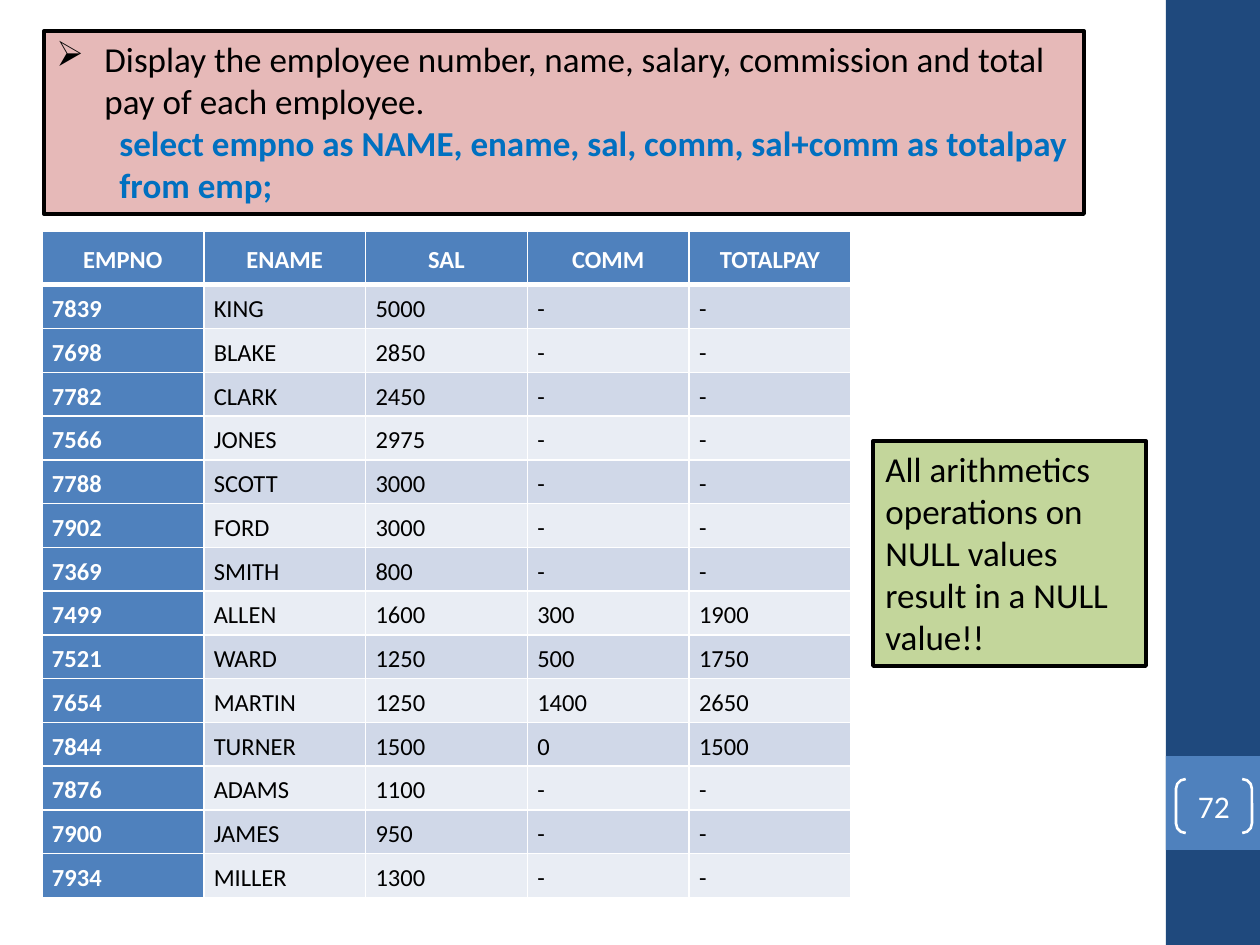
import dataclasses

import pptx
import pptx.dml.color
import pptx.enum.shapes
import pptx.enum.text
import pptx.oxml.ns
import pptx.util
from lxml import etree

EMU_PER_PX = 914400 / 126
SHAPES = pptx.enum.shapes.MSO_SHAPE
ALIGN = pptx.enum.text.PP_ALIGN
ANCHOR = pptx.enum.text.MSO_ANCHOR
AUTO_SIZE = pptx.enum.text.MSO_AUTO_SIZE


@dataclasses.dataclass(frozen=True)
class Theme:
    font: str = "Calibri"
    white: str = "FFFFFF"
    black: str = "000000"
    navy: str = "1F497D"
    blue: str = "4F81BD"
    query: str = "0070C0"
    pink: str = "E6B9B8"
    green: str = "C3D69B"
    bands: tuple = ("D0D8E8", "E9EDF4")
    body_size: int = 20
    number_size: int = 18
    table_size: int = 14


THEME = Theme()

HEADERS = ("EMPNO", "ENAME", "SAL", "COMM", "TOTALPAY")
EMPLOYEES = (
    ("7839", "KING", "5000", "-", "-"),
    ("7698", "BLAKE", "2850", "-", "-"),
    ("7782", "CLARK", "2450", "-", "-"),
    ("7566", "JONES", "2975", "-", "-"),
    ("7788", "SCOTT", "3000", "-", "-"),
    ("7902", "FORD", "3000", "-", "-"),
    ("7369", "SMITH", "800", "-", "-"),
    ("7499", "ALLEN", "1600", "300", "1900"),
    ("7521", "WARD", "1250", "500", "1750"),
    ("7654", "MARTIN", "1250", "1400", "2650"),
    ("7844", "TURNER", "1500", "0", "1500"),
    ("7876", "ADAMS", "1100", "-", "-"),
    ("7900", "JAMES", "950", "-", "-"),
    ("7934", "MILLER", "1300", "-", "-"),
)


def px(length):
    return pptx.util.Emu(round(length * EMU_PER_PX))


def rgb(color):
    return pptx.dml.color.RGBColor.from_string(color)


def write(paragraph, text, *, size=THEME.body_size, color=THEME.black, bold=False,
          align=ALIGN.LEFT, spacing=None, level=0, margin=0, indent=0, bullet=None):
    """Fill a paragraph with one formatted run; margin and indent are in px."""
    paragraph.alignment = align
    paragraph.level = level
    if spacing:
        paragraph.line_spacing = spacing
    properties = paragraph._p.get_or_add_pPr()
    properties.set("marL", str(px(margin)))
    properties.set("indent", str(px(indent)))
    if bullet:
        etree.SubElement(properties, pptx.oxml.ns.qn("a:buChar"), char=bullet)
    run = paragraph.add_run()
    run.text = text
    run.font.name = THEME.font
    run.font.size = pptx.util.Pt(size)
    run.font.bold = bold
    run.font.color.rgb = rgb(color)


def add_panel(slide, box, kind=SHAPES.RECTANGLE, fill=None, line=None, line_width=2.25):
    shape = slide.shapes.add_shape(kind, *map(px, box))
    shape.shadow.inherit = False
    if fill:
        shape.fill.solid()
        shape.fill.fore_color.rgb = rgb(fill)
    else:
        shape.fill.background()
    if line:
        shape.line.color.rgb = rgb(line)
        shape.line.width = pptx.util.Pt(line_width)
    else:
        shape.line.fill.background()
    return shape


def add_text_panel(slide, box, fill):
    """Add an outlined panel and return its text frame."""
    frame = add_panel(slide, box, fill=fill, line=THEME.black).text_frame
    frame.word_wrap = True
    frame.auto_size = AUTO_SIZE.SHAPE_TO_FIT_TEXT
    frame.vertical_anchor = ANCHOR.TOP
    return frame


def add_sidebar(slide, box, number):
    left, top, width, height = box
    badge_top = top + height * 4 // 5
    add_panel(slide, box, fill=THEME.navy)
    add_panel(slide, (left, badge_top, width, width), fill=THEME.blue)
    bracket = add_panel(slide, (left + 10, badge_top + 23, 76, 54),
                        SHAPES.DOUBLE_BRACKET, line=THEME.white, line_width=1.5)
    bracket.adjustments[0] = 0.18
    frame = bracket.text_frame
    frame.margin_left = frame.margin_right = frame.margin_top = frame.margin_bottom = 0
    frame.vertical_anchor = ANCHOR.MIDDLE
    write(frame.paragraphs[0], number, size=THEME.number_size,
          color=THEME.white, align=ALIGN.CENTER)


def add_question(slide, box):
    frame = add_text_panel(slide, box, THEME.pink)
    write(frame.paragraphs[0],
          "Display the employee number, name, salary, commission and total pay of each employee.",
          margin=48, indent=-48, bullet="➢")
    for line in ("select empno as NAME, ename, sal, comm, sal+comm as totalpay", "from emp;"):
        write(frame.add_paragraph(), line, color=THEME.query, bold=True, level=1, margin=63)


def add_note(slide, box):
    frame = add_text_panel(slide, box, THEME.green)
    write(frame.paragraphs[0],
          "All arithmetics operations on NULL values result in a NULL value!!")


def set_borders(cell, top=1, bottom=1):
    """Draw white cell borders; widths are in points."""
    properties = cell._tc.get_or_add_tcPr()
    for side, width in (("L", 1), ("R", 1), ("T", top), ("B", bottom)):
        line = etree.SubElement(properties, pptx.oxml.ns.qn(f"a:ln{side}"),
                                w=str(pptx.util.Pt(width)))
        fill = etree.SubElement(line, pptx.oxml.ns.qn("a:solidFill"))
        etree.SubElement(fill, pptx.oxml.ns.qn("a:srgbClr"), val=THEME.white)


def format_cell(cell, text, row, column):
    is_header = row == 0
    is_key = is_header or column == 0
    set_borders(cell, top=3 if row == 1 else 1, bottom=3 if is_header else 1)
    cell.fill.solid()
    cell.fill.fore_color.rgb = rgb(THEME.blue if is_key else THEME.bands[(row - 1) % 2])
    cell.margin_left = cell.margin_right = px(10)
    cell.margin_top = cell.margin_bottom = px(10 if is_header else 5)
    cell.vertical_anchor = ANCHOR.BOTTOM if is_header else ANCHOR.MIDDLE
    write(cell.text_frame.paragraphs[0], text, size=THEME.table_size, bold=is_key,
          color=THEME.white if is_key else THEME.black, spacing=1.15,
          align=ALIGN.CENTER if is_header else ALIGN.LEFT)


def add_employee_table(slide, box):
    """Add the query result; rows grow to the height of their text."""
    records = (HEADERS,) + EMPLOYEES
    graphic_frame = slide.shapes.add_table(len(records), len(HEADERS), *map(px, box))
    table = graphic_frame.table
    table.first_col = True
    table.horz_banding = False
    for column in table.columns:
        column.width = px(box[2] / len(HEADERS))
    for row, record in enumerate(records):
        table.rows[row].height = px(28 if row else 36)
        for column, text in enumerate(record):
            format_cell(table.cell(row, column), text, row, column)
    graphic_frame.height = px(box[3])


def main():
    presentation = pptx.Presentation()
    presentation.slide_width, presentation.slide_height = px(1260), px(945)
    slide = presentation.slides.add_slide(presentation.slide_layouts[6])
    add_sidebar(slide, (1166, 0, 94, 945), "72")
    add_question(slide, (44, 31, 1040, 183))
    add_employee_table(slide, (42, 231, 809, 645))
    add_note(slide, (873, 441, 273, 225))
    presentation.save("out.pptx")


if __name__ == "__main__":
    main()
